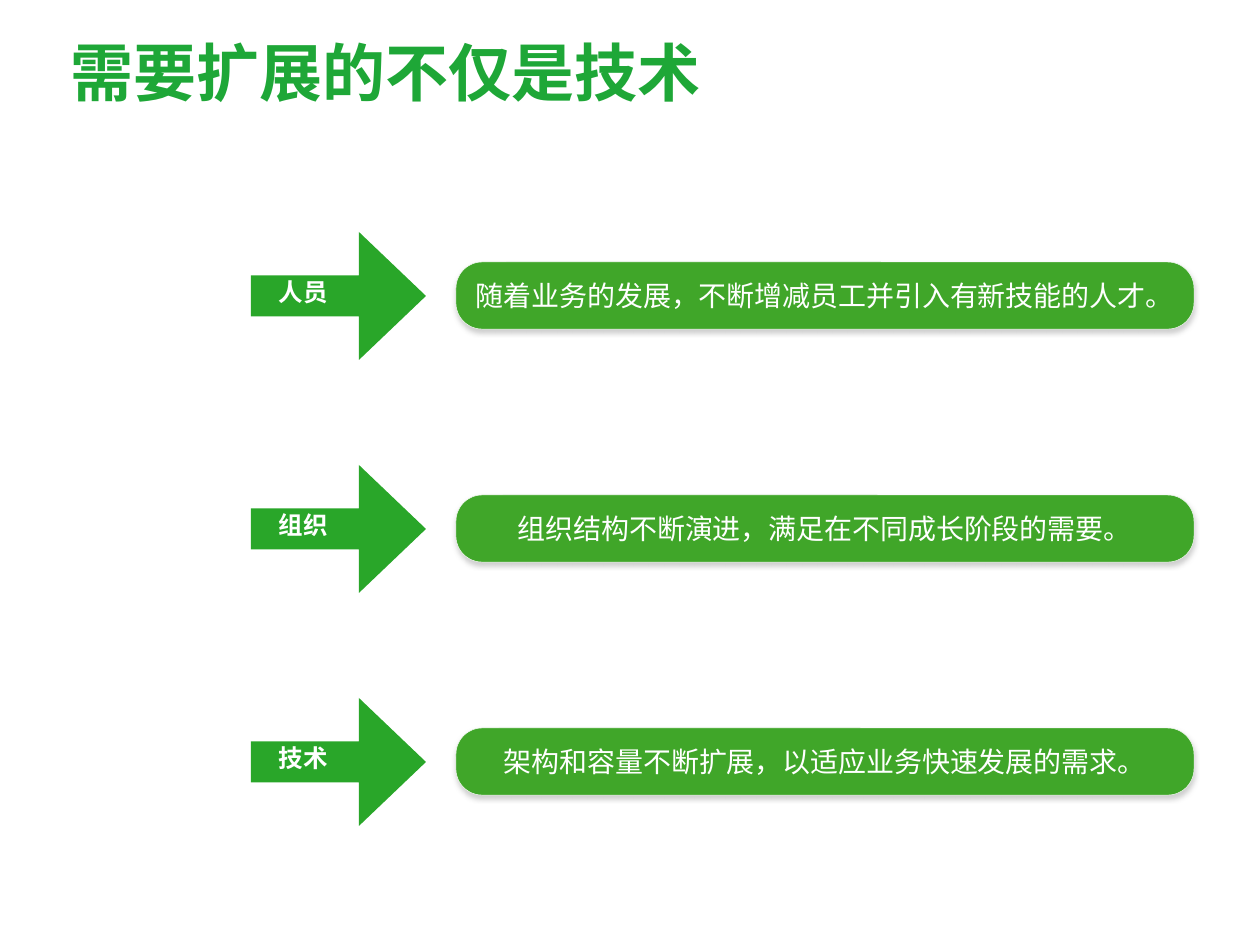
from dataclasses import dataclass

from lxml.etree import SubElement
from pptx import Presentation
from pptx.dml.color import RGBColor
from pptx.enum.shapes import MSO_SHAPE
from pptx.enum.text import MSO_ANCHOR, MSO_AUTO_SIZE, PP_ALIGN
from pptx.oxml.ns import qn
from pptx.shapes.autoshape import Shape
from pptx.slide import Slide
from pptx.text.text import TextFrame
from pptx.util import Emu, Pt

EMU_PER_PX = 914400 / 126


@dataclass(frozen=True)
class Theme:
    title: str = "1EA737"
    arrow: str = "29A629"
    bar: str = "40A629"
    light: str = "FFFFFF"
    shadow: str = "808080"
    title_pt: int = 36
    bar_pt: int = 16
    label_pt: int = 14
    heading_font: str = "Arial"
    body_font: str = "Noto Sans CJK SC"


@dataclass(frozen=True)
class Box:
    x: int
    y: int
    w: int
    h: int

    def down(self, dy: int) -> "Box":
        return Box(self.x, self.y + dy, self.w, self.h)

    def emu(self) -> list[Emu]:
        return [px(v) for v in (self.x, self.y, self.w, self.h)]


@dataclass(frozen=True)
class Row:
    label: str
    text: str


THEME = Theme()
TITLE = Box(71, 28, 931, 87)
ARROW = Box(251, 232, 175, 128)
BAR = Box(456, 262, 738, 67)
LABEL = Box(273, 271, 63, 48)
ROW_PITCH = 233
INSET = 6
ROWS = [
    Row("人员", "随着业务的发展，不断增减员工并引入有新技能的人才。"),
    Row("组织", "组织结构不断演进，满足在不同成长阶段的需要。"),
    Row("技术", "架构和容量不断扩展，以适应业务快速发展的需求。"),
]


def px(n: int) -> Emu:
    return Emu(round(n * EMU_PER_PX))


def set_text(tf: TextFrame, text: str, size: int, color: str, font: str,
             bold: bool = False, inset: int = INSET) -> None:
    tf.margin_left = tf.margin_right = tf.margin_top = tf.margin_bottom = px(inset)
    r = tf.paragraphs[0].add_run()
    r.text = text
    r.font.size = Pt(size)
    r.font.bold = bold
    r.font.name = font
    r.font.color.rgb = RGBColor.from_string(color)


def add_filled(s: Slide, kind: MSO_SHAPE, box: Box, color: str,
               adjustments: list[float]) -> Shape:
    sp = s.shapes.add_shape(kind, *box.emu())
    for i, value in enumerate(adjustments):
        sp.adjustments[i] = value
    sp.fill.solid()
    sp.fill.fore_color.rgb = RGBColor.from_string(color)
    sp.line.fill.background()
    sp.shadow.inherit = False
    return sp


def add_shadow(sp: Shape) -> None:
    effects = sp.element.spPr.find(qn("a:effectLst"))
    shadow = SubElement(effects, qn("a:outerShdw"), blurRad=str(Pt(3)),
                        dist=str(Pt(1.6)), dir="5400000", rotWithShape="0")
    color = SubElement(shadow, qn("a:srgbClr"), val=THEME.shadow)
    SubElement(color, qn("a:alpha"), val="38000")


def add_title(s: Slide, text: str) -> None:
    tf = s.shapes.add_textbox(*TITLE.emu()).text_frame
    tf.word_wrap = True
    tf.vertical_anchor = MSO_ANCHOR.MIDDLE
    set_text(tf, text, THEME.title_pt, THEME.title, THEME.heading_font,
             bold=True, inset=0)


def add_bar(s: Slide, box: Box, text: str) -> None:
    sp = add_filled(s, MSO_SHAPE.ROUNDED_RECTANGLE, box, THEME.bar, [0.39])
    sp.line.color.rgb = RGBColor.from_string(THEME.light)
    sp.line.width = Pt(0.25)
    add_shadow(sp)
    tf = sp.text_frame
    tf.word_wrap = True
    tf.vertical_anchor = MSO_ANCHOR.MIDDLE
    tf.paragraphs[0].alignment = PP_ALIGN.CENTER
    set_text(tf, text, THEME.bar_pt, THEME.light, THEME.body_font)


def add_label(s: Slide, box: Box, text: str) -> None:
    tf = s.shapes.add_textbox(*box.emu()).text_frame
    tf.word_wrap = False
    tf.auto_size = MSO_AUTO_SIZE.SHAPE_TO_FIT_TEXT
    set_text(tf, text, THEME.label_pt, THEME.light, THEME.heading_font, bold=True)


def add_row(s: Slide, row: Row, dy: int) -> None:
    add_filled(s, MSO_SHAPE.RIGHT_ARROW, ARROW.down(dy), THEME.arrow, [0.32, 0.524])
    add_bar(s, BAR.down(dy), row.text)
    add_label(s, LABEL.down(dy), row.label)


def main() -> None:
    prs = Presentation()
    prs.slide_width, prs.slide_height = px(1260), px(945)
    s = prs.slides.add_slide(prs.slide_layouts[6])
    add_title(s, "需要扩展的不仅是技术")
    for i, row in enumerate(ROWS):
        add_row(s, row, i * ROW_PITCH)
    prs.save("out.pptx")


if __name__ == "__main__":
    main()
